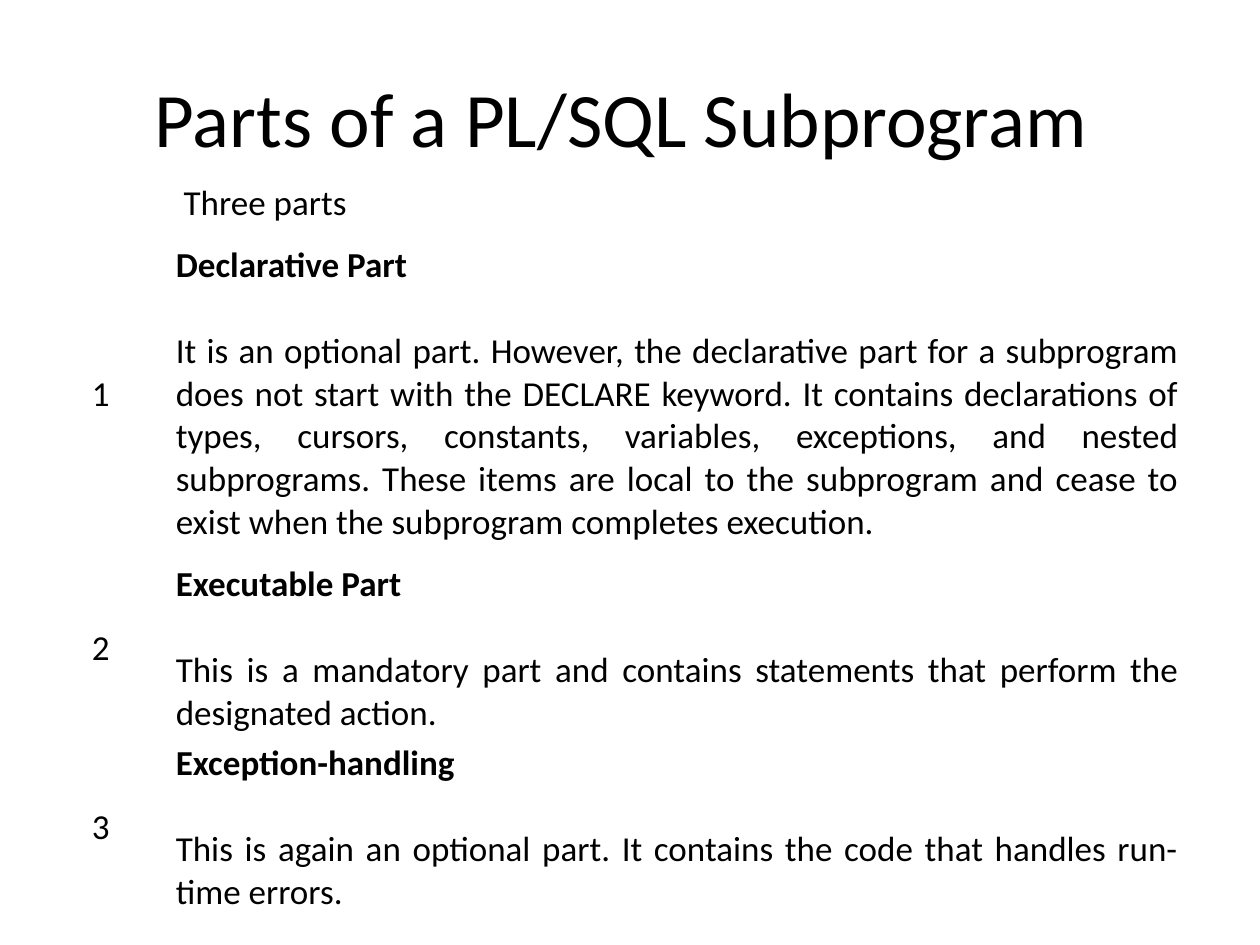
from pptx import Presentation
from pptx import util as u
from pptx.dml import color
from pptx.enum import text

HUES = {"ink": "000000"}
FACE = "Calibri"
PARTS = [
    ("Declarative Part",
     "It is an optional part. However, the declarative part for a subprogram "
     "does not start with the DECLARE keyword. It contains declarations of "
     "types, cursors, constants, variables, exceptions, and nested "
     "subprograms. These items are local to the subprogram and cease to "
     "exist when the subprogram completes execution."),
    ("Executable Part",
     "This is a mandatory part and contains statements that perform the "
     "designated action."),
    ("Exception-handling",
     "This is again an optional part. It contains the code that handles "
     "run-time errors."),
]


def add_run(para, words, size, bold=False):
    """Add one styled run to a paragraph."""
    run = para.add_run()
    run.text = words
    font = run.font
    font.name, font.size, font.bold = FACE, u.Pt(size), bold
    font.color.rgb = color.RGBColor.from_string(HUES["ink"])


def put_title(slide, box, words):
    """Place the title in its box."""
    title = slide.shapes.title
    title.left, title.top, title.width, title.height = map(u.Pt, box)
    frame = title.text_frame
    frame.auto_size = text.MSO_AUTO_SIZE.NONE
    frame.vertical_anchor = text.MSO_ANCHOR.MIDDLE
    para = frame.paragraphs[0]
    para.alignment = text.PP_ALIGN.CENTER
    add_run(para, words, 44)


def fill_cell(cell, lines, indent=0):
    """Write (words, bold) lines into a clear cell, spaced apart."""
    cell.fill.background()
    cell.vertical_anchor = text.MSO_ANCHOR.MIDDLE
    cell.margin_left = u.Pt(4.5 + indent)
    cell.margin_right = u.Pt(4.5)
    cell.margin_top = cell.margin_bottom = u.Pt(2.25)
    frame = cell.text_frame
    for i, (words, bold) in enumerate(lines):
        para = frame.add_paragraph() if i else frame.paragraphs[0]
        para.alignment = text.PP_ALIGN.JUSTIFY
        para.space_before = u.Pt(24.4 if i else 0)
        add_run(para, words, 20, bold)


def put_parts(slide, box, first, highs):
    """Place the table of numbered parts in its box."""
    left, top, width, height = box
    table = slide.shapes.add_table(len(highs), 2, *map(u.Pt, box)).table
    table.first_row = table.horz_banding = False
    for col, wide in zip(table.columns, (first, width - first)):
        col.width = u.Pt(wide)
    for row, high in zip(table.rows, highs):
        row.height = u.Pt(high)
    fill_cell(table.cell(0, 0), [])
    fill_cell(table.cell(0, 1), [("Three parts", False)], indent=4.5)
    for n, (head, body) in enumerate(PARTS, 1):
        fill_cell(table.cell(n, 0), [(str(n), False)])
        fill_cell(table.cell(n, 1), [(head, True), (body, False)])


def main():
    """Build and save the slide."""
    deck = Presentation()
    deck.slide_width, deck.slide_height = u.Pt(720), u.Pt(540)
    slide = deck.slides.add_slide(deck.slide_layouts[5])
    put_title(slide, (36, 21.6, 648, 90), "Parts of a PL/SQL Subprogram ")
    highs = (29, 188.6, 102.2, 102.2)
    put_parts(slide, (48, 102, 630, sum(highs)), 48, highs)
    deck.save("out.pptx")


if __name__ == "__main__":
    main()
